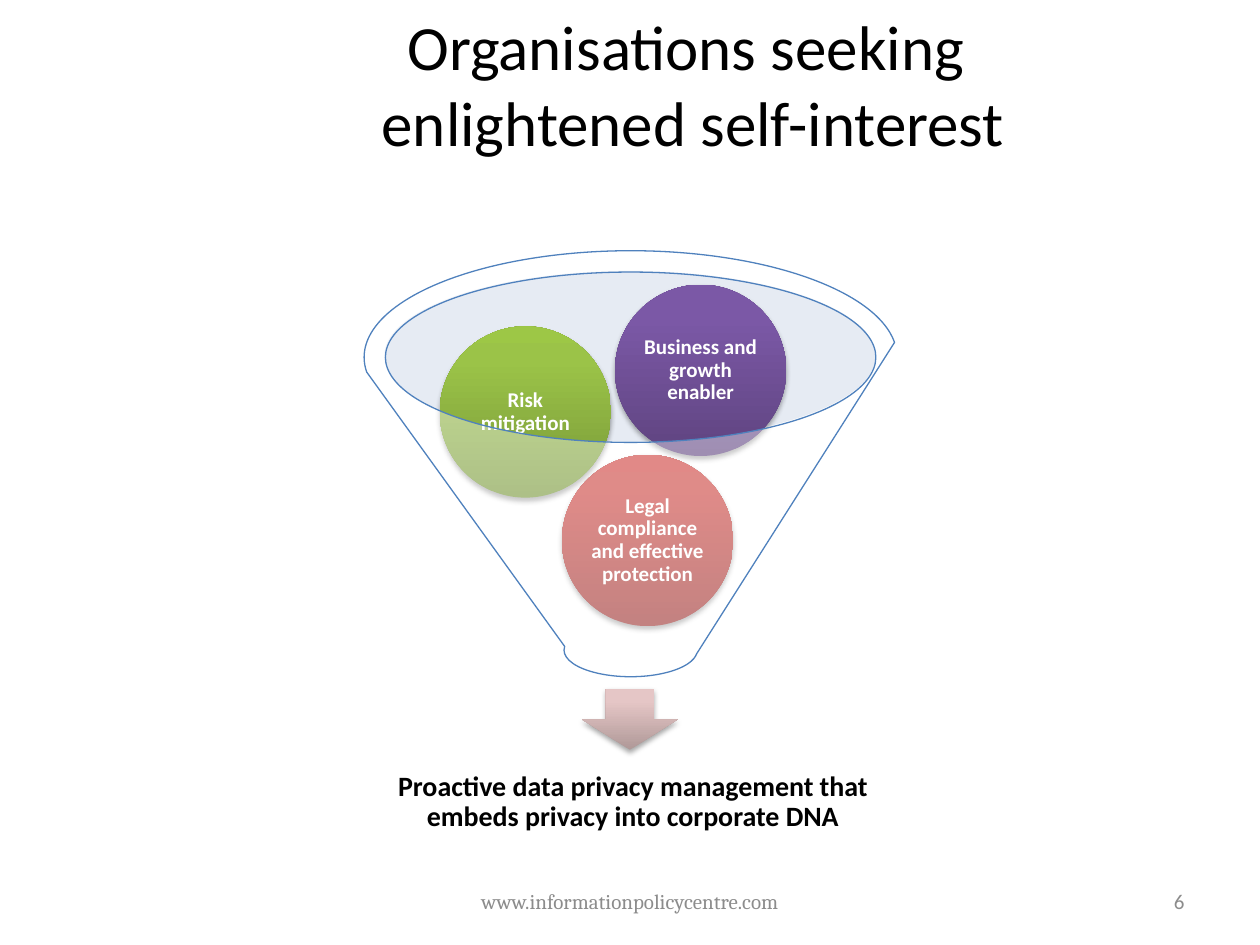
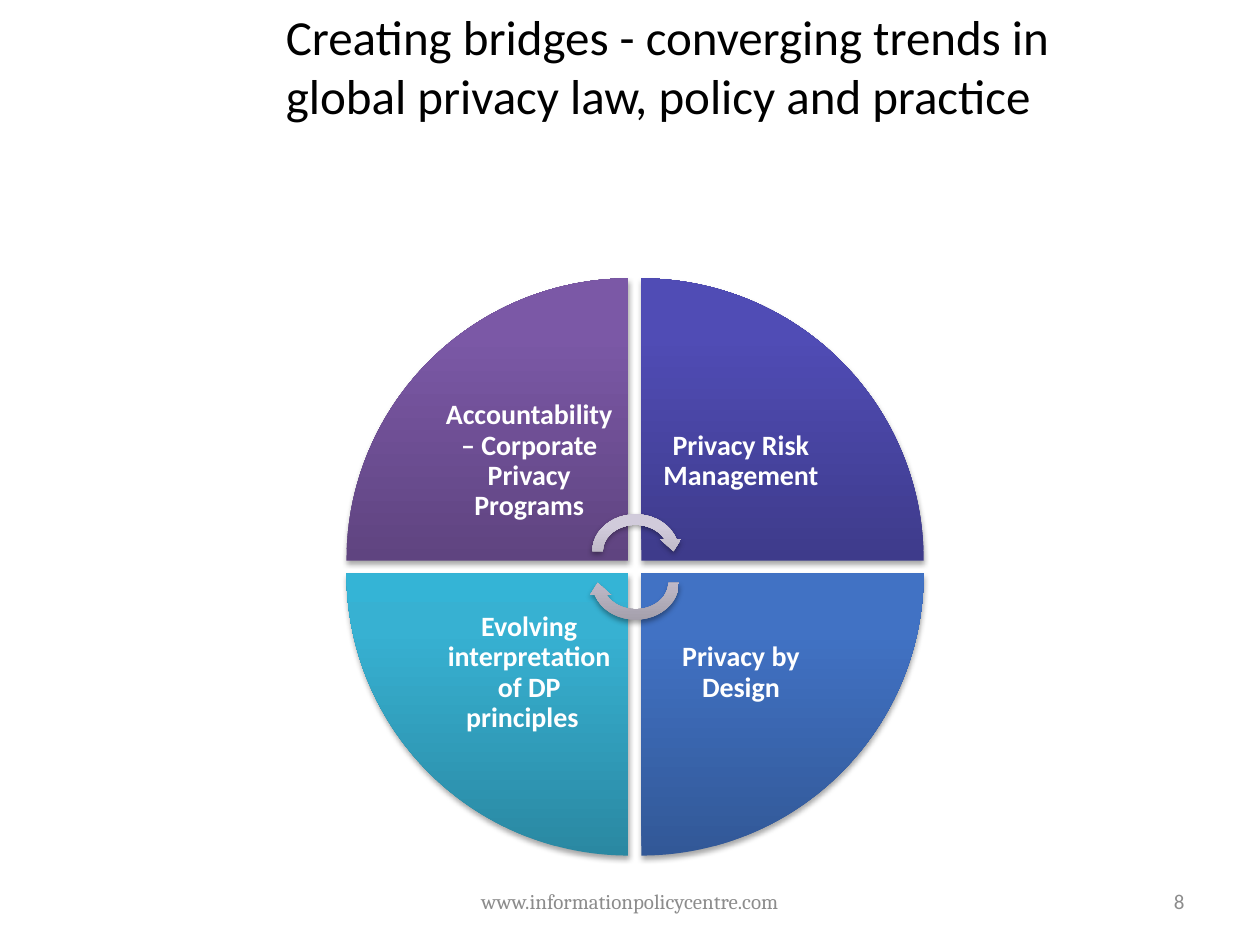
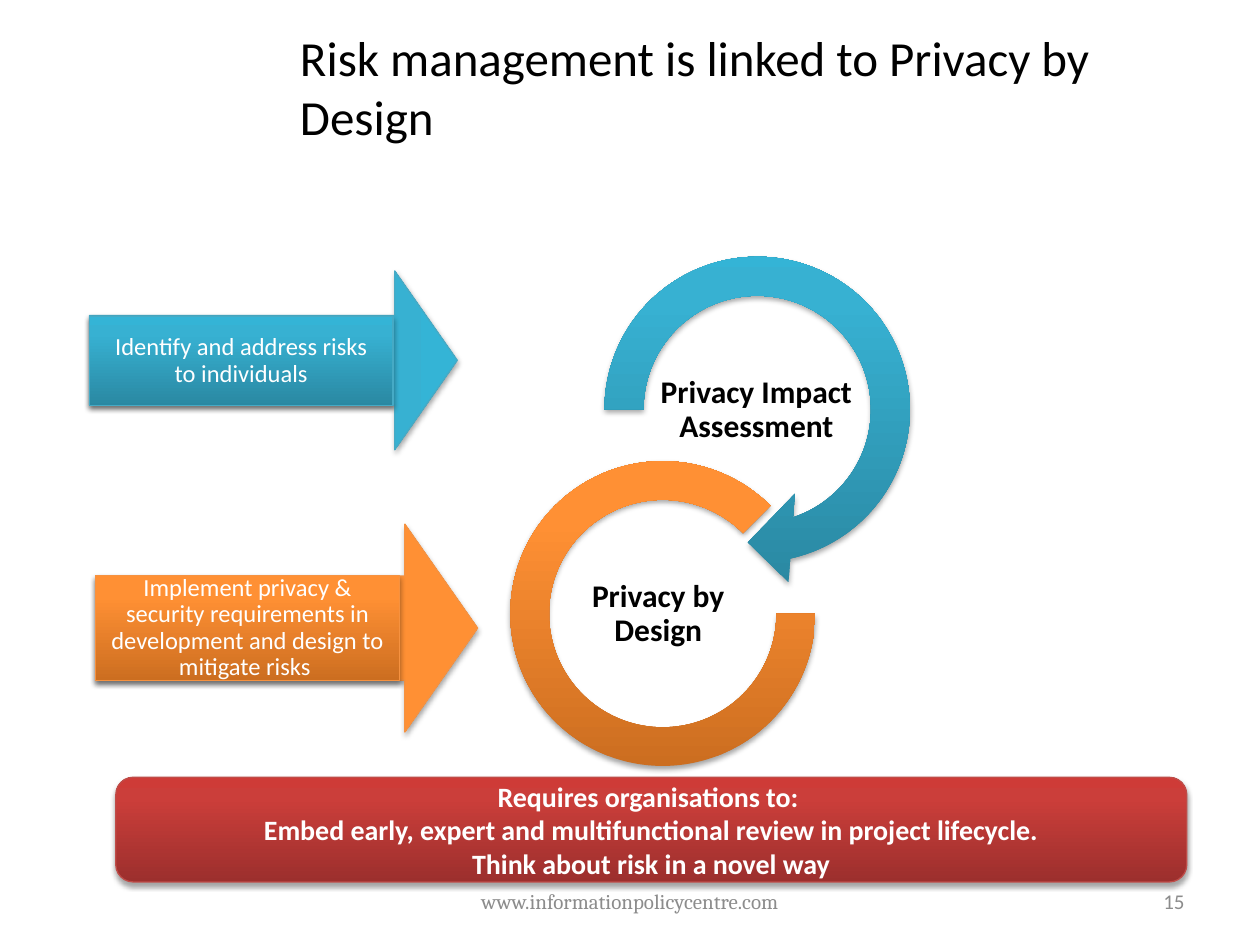
from dataclasses import dataclass

from lxml.etree import SubElement
from pptx import Presentation
from pptx.dml.color import RGBColor
from pptx.enum.shapes import MSO_SHAPE as SHAPE
from pptx.enum.text import MSO_ANCHOR as ANCHOR, MSO_AUTO_SIZE as AUTO_SIZE, PP_ALIGN as ALIGN
from pptx.oxml.ns import qn
from pptx.util import Pt


@dataclass(frozen=True)
class Theme:
    font: str = "Calibri"
    footer_font: str = "Cambria"
    black: str = "000000"
    white: str = "FFFFFF"
    grey: str = "8C8C8C"
    outline: str = "4F81BD"
    pale_blue: str = "C2CDE1"
    teal_line: str = "46AAC5"
    orange_line: str = "F69240"
    red_line: str = "BF4C48"
    # Gradients run from the bottom (0 %) over 80 % to the top (100 %).
    red: tuple = ("9C2F2D", "CB3E3A", "CE3B37")
    green: tuple = ("779737", "9BC348", "9DC746")
    purple: tuple = ("5F4480", "7B58A6", "7C57A8")
    indigo: tuple = ("3E3B8B", "504CB5", "4F4BB8")
    blue: tuple = ("325897", "4172C4", "3F72C7")
    teal: tuple = ("2A88A2", "37B1D2", "34B4D6")
    orange: tuple = ("CC6E20", "FF9034", "FF9136")
    rose: tuple = ("B09998", "E5C6C6", "E6C7C6")
    silver: tuple = ("A19CA8", "D1CBDB", "D2CBDC")
    title_large: int = 36
    title_size: int = 28
    ring_size: int = 18
    label_size: int = 16
    arrow_size: int = 14
    small_size: int = 12


FOOTER = "www.informationpolicycentre.com"
TITLE_ONLY = 5


class Deck:
    def __init__(self, theme):
        self.theme = theme
        self.prs = Presentation()
        self.prs.slide_width, self.prs.slide_height = Pt(720), Pt(540)
        self.slide = None

    def new_slide(self, number):
        t = self.theme
        self.slide = self.prs.slides.add_slide(self.prs.slide_layouts[TITLE_ONLY])
        footer = dict(size=t.small_size, color=t.grey, bold=False, spacing=None)
        self.label(FOOTER, (246, 500.5, 228, 28.75), font=t.footer_font, **footer)
        self.label(str(number), (516, 500.5, 168, 28.75), align=ALIGN.RIGHT, **footer)

    def title(self, text, box, size, align=ALIGN.LEFT):
        sp = self.slide.shapes.title
        sp.left, sp.top, sp.width, sp.height = map(Pt, box)
        self.fill_text(sp.text_frame, text, size, self.theme.black, bold=False,
                       align=align, anchor=ANCHOR.TOP, spacing=None)

    def fill_text(self, tf, text, size, color, bold=True, align=ALIGN.CENTER,
                  anchor=ANCHOR.MIDDLE, inset=None, spacing=0.9, font=None):
        tf.word_wrap = True
        tf.auto_size = AUTO_SIZE.NONE
        tf.vertical_anchor = anchor
        if inset is not None:
            tf.margin_left = tf.margin_right = tf.margin_top = tf.margin_bottom = Pt(inset)
        tf.text = text
        for p in tf.paragraphs:
            p.alignment = align
            if spacing:
                p.line_spacing = spacing
            for r in p.runs:
                r.font.name = font or self.theme.font
                r.font.size = Pt(size)
                r.font.bold = bold
                r.font.color.rgb = RGBColor.from_string(color)

    def label(self, text, box, size, color, **style):
        sp = self.slide.shapes.add_textbox(*map(Pt, box))
        self.fill_text(sp.text_frame, text, size, color, **style)

    def shape(self, kind, box, line=None, rotation=0, adjust=()):
        sp = self.slide.shapes.add_shape(kind, *map(Pt, box))
        sp.shadow.inherit = False
        sp.rotation = rotation
        for i, value in enumerate(adjust):
            sp.adjustments[i] = value
        if line:
            sp.line.color.rgb = RGBColor.from_string(line)
            sp.line.width = Pt(0.75)
        else:
            sp.line.fill.background()
        return sp

    def glass(self, kind, box, color, line=None):
        """Add a shape whose plain fill is 40 % opaque."""
        sp = self.shape(kind, box, line)
        sp.fill.solid()
        sp.fill.fore_color.rgb = RGBColor.from_string(color)
        clr = sp._element.spPr.find(qn("a:solidFill"))[0]
        SubElement(clr, qn("a:alpha"), val="40000")

    def glossy(self, kind, box, colors, turn_fill=False, **outline):
        """Add a shape with a three-stop gradient and a soft shadow below."""
        sp = self.shape(kind, box, **outline)
        sp.fill.gradient()
        sp.fill.gradient_angle = 90
        spPr = sp._element.spPr
        grad = spPr.find(qn("a:gradFill"))
        grad.set("rotWithShape", str(int(turn_fill)))
        stops = grad.find(qn("a:gsLst"))
        for gs in list(stops):
            stops.remove(gs)
        for percent, color in zip((0, 80, 100), colors):
            gs = SubElement(stops, qn("a:gs"), pos=str(percent * 1000))
            SubElement(gs, qn("a:srgbClr"), val=color)
        shadow = SubElement(spPr.find(qn("a:effectLst")), qn("a:outerShdw"),
                            blurRad=str(int(Pt(3.1))), dist=str(int(Pt(1.8))),
                            dir="5400000", rotWithShape="0")
        clr = SubElement(shadow, qn("a:srgbClr"), val=self.theme.black)
        SubElement(clr, qn("a:alpha"), val="35000")
        return sp

def funnel_slide(deck):
    t = deck.theme
    deck.new_slide(6)
    deck.glass(SHAPE.OVAL, (219.6, 154.8, 280.8, 97.2), t.pale_blue)
    deck.glossy(SHAPE.DOWN_ARROW, (332.6, 393.8, 54.7, 34.6), t.rose)
    deck.label("Proactive data privacy management that embeds privacy into corporate DNA",
               (210.2, 432, 303.1, 53.3), t.label_size, t.black, inset=8.6)
    diameter = 97.9
    balls = (
        ("Legal compliance and effective protection", 321.1, 259.9, t.red),
        ("Risk mitigation", 251.3, 186.5, t.green),
        ("Business and growth enabler", 351.4, 162.7, t.purple),
    )
    for text, x, y, colors in balls:
        sp = deck.glossy(SHAPE.OVAL, (x, y, diameter, diameter), colors)
        deck.fill_text(sp.text_frame, text, t.small_size, t.white, inset=1.4)
    deck.glass(SHAPE.FUNNEL, (208.1, 143.3, 304.6, 243.4), t.white, t.outline)
    deck.title("Organisations seeking \venlightened self-interest",
               (72, 0.7, 648, 90), t.title_large, ALIGN.CENTER)


def quadrant_slide(deck):
    t = deck.theme
    deck.new_slide(8)
    deck.title("Creating bridges - converging trends in global privacy law, policy and practice",
               (156.2, 0, 516.2, 73.4), t.title_size)
    left, top, size, pitch, label_side = 198, 159.1, 161.3, 168.5, 113.8
    quadrants = (
        (0, 0, "Accountability – Corporate Privacy Programs", t.purple),
        (1, 0, "Privacy Risk Management", t.indigo),
        (1, 1, "Privacy by Design", t.blue),
        (0, 1, "Evolving interpretation of DP principles\t", t.teal),
    )
    for i, (col, row, text, colors) in enumerate(quadrants):
        x, y = left + col * pitch, top + row * pitch
        deck.glossy(SHAPE.PIE_WEDGE, (x, y, size, size), colors, rotation=90 * i)
        # Labels sit against the centre of the circle.
        shift = size - label_side
        deck.label(text, (x + (1 - col) * shift, y + (1 - row) * shift, label_side, label_side),
                   t.label_size, t.white, inset=8.6)
    for y, rotation in ((290.9, 0), (308.9, 180)):
        deck.glossy(SHAPE.CIRCULAR_ARROW, (335.5, y, 55.4, 48.2), t.silver, rotation=rotation)


def risk_slide(deck):
    t = deck.theme
    deck.new_slide(15)
    rings = (
        ("Privacy Impact Assessment", (375.8, 205.9, 113, 56.9),
         SHAPE.CIRCULAR_ARROW, (331.2, 132.5, 203, 203), t.teal,
         (0.11, 11.423, 45, 108, 0.125)),
        ("Privacy by Design", (319.7, 322.6, 113, 56.9),
         SHAPE.BLOCK_ARC, (291.6, 263.5, 174.2, 174.2), t.orange, (0, 189, 0.127)),
    )
    for text, text_box, kind, box, colors, adjust in rings:
        deck.glossy(kind, box, colors, adjust=adjust)
        deck.label(text, text_box, t.ring_size, t.black, inset=0.7)
    steps = (
        ("Identify and address risks to individuals", (51.1, 180.7, 173.5, 51.1),
         (105.1, 100.8, 102.2, 210.2), t.teal, t.teal_line),
        ("Implement privacy & security requirements in development and design to mitigate risks ",
         (54.7, 329, 173.5, 59.8), (104.4, 249.8, 118.8, 218.2), t.orange, t.orange_line),
    )
    for text, box, arrow_box, colors, line in steps:
        deck.glossy(SHAPE.UP_ARROW, arrow_box, colors, turn_fill=True, line=line,
                    rotation=90, adjust=(0.5, 0.35))
        sp = deck.glossy(SHAPE.RECTANGLE, box, colors, line=line)
        deck.fill_text(sp.text_frame, text, t.arrow_size, t.white, bold=False, inset=7.9)
    banner = deck.glossy(SHAPE.ROUNDED_RECTANGLE, (66.2, 444.2, 612, 59.8), t.red,
                         line=t.red_line)
    deck.fill_text(banner.text_frame,
                   "Requires organisations to: \n"
                   "Embed early, expert and multifunctional review in project lifecycle.\n"
                   "Think about risk in a novel way",
                   t.label_size, t.white, spacing=None)
    deck.title("Risk management is linked to Privacy by Design",
               (164.2, 12.2, 483.8, 74.9), t.title_size)


def main():
    deck = Deck(Theme())
    funnel_slide(deck)
    quadrant_slide(deck)
    risk_slide(deck)
    deck.prs.save("out.pptx")


if __name__ == "__main__":
    main()
